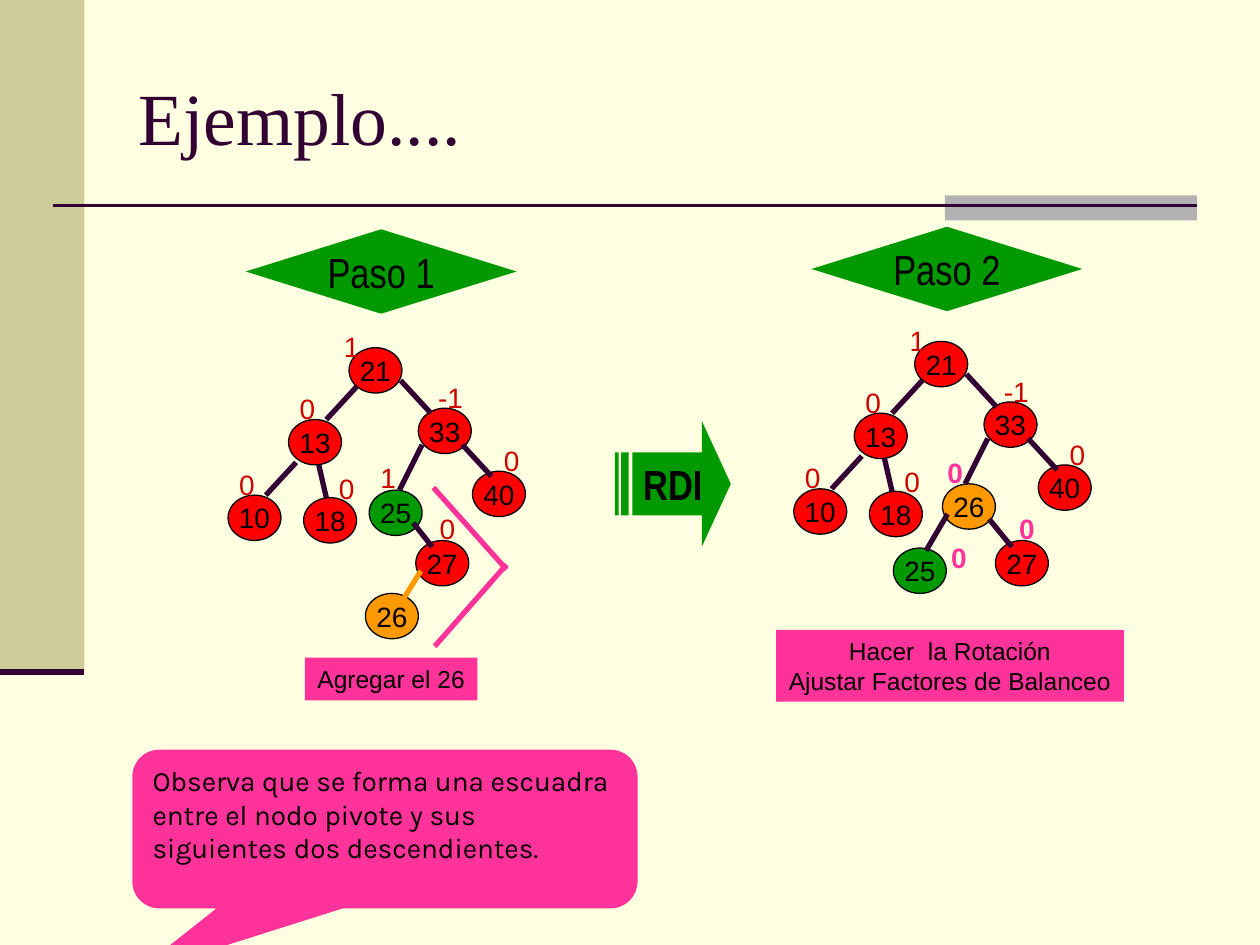
from lxml import etree
from pptx import Presentation
from pptx.dml.color import RGBColor
from pptx.enum.shapes import MSO_CONNECTOR, MSO_SHAPE
from pptx.enum.text import MSO_ANCHOR, MSO_AUTO_SIZE, PP_ALIGN
from pptx.oxml.ns import qn
from pptx.util import Inches, Pt

RECTANGLE, ELLIPSE = MSO_SHAPE.RECTANGLE, MSO_SHAPE.OVAL
DIAMOND = MSO_SHAPE.FLOWCHART_DECISION
CALLOUT = MSO_SHAPE.ROUNDED_RECTANGULAR_CALLOUT
STRAIGHT = MSO_CONNECTOR.STRAIGHT
LEFT, CENTER = PP_ALIGN.LEFT, PP_ALIGN.CENTER
TOP, MIDDLE = MSO_ANCHOR.TOP, MSO_ANCHOR.MIDDLE
FIXED_SIZE = MSO_AUTO_SIZE.NONE

COLORS = {
    "background": "FFFFE1", "band": "CCCC99", "gray": "B2B2B2",
    "dark": "330033", "black": "000000", "red": "FF0000",
    "green": "009900", "orange": "FF9900", "pink": "FF3399",
    "factor": "CC0000",
}


def color(name):
    return RGBColor.from_string(COLORS[name])


class SlideBuilder:
    font, narrow_font = "Arial", "Arial Narrow"
    title_font, note_font = "Times New Roman", "Karla"
    node_width, node_height = 0.42, 0.36

    def __init__(self, slide):
        self.slide = slide
        slide.background.fill.solid()
        slide.background.fill.fore_color.rgb = color("background")

    def set_text(self, shape, text, size, font=None, text_color="black", bold=False,
                 align=CENTER, anchor=MIDDLE, wrap=False):
        frame = shape.text_frame
        frame.text = text
        frame.word_wrap = wrap
        frame.auto_size = FIXED_SIZE
        frame.vertical_anchor = anchor
        for paragraph in frame.paragraphs:
            paragraph.alignment = align
            for run in paragraph.runs:
                run.font.name = font or self.font
                run.font.size = Pt(size)
                run.font.bold = bold
                run.font.color.rgb = color(text_color)

    def paint(self, shape, fill, outline=None):
        shape.shadow.inherit = False
        shape.fill.solid()
        shape.fill.fore_color.rgb = color(fill)
        if outline:
            shape.line.color.rgb = color(outline)
            shape.line.width = Pt(0.75)
        else:
            shape.line.fill.background()

    def title(self, text, left, top, width, height):
        title = self.slide.shapes.title
        title.left, title.top = Inches(left), Inches(top)
        title.width, title.height = Inches(width), Inches(height)
        self.set_text(title, text, 42, self.title_font, "dark", align=LEFT, wrap=True)

    def shape(self, kind, left, top, width, height, fill, outline=None):
        shape = self.slide.shapes.add_shape(
            kind, Inches(left), Inches(top), Inches(width), Inches(height))
        self.paint(shape, fill, outline)
        return shape

    def line(self, x1, y1, x2, y2, line_color="dark", width=3):
        line = self.slide.shapes.add_connector(
            STRAIGHT, Inches(x1), Inches(y1), Inches(x2), Inches(y2))
        line.line.color.rgb = color(line_color)
        line.line.width = Pt(width)
        etree.SubElement(line._element.spPr, qn("a:effectLst"))

    def outline(self, contours, fill):
        points = [[(Inches(x), Inches(y)) for x, y in contour] for contour in contours]
        builder = self.slide.shapes.build_freeform(*points[0][0])
        builder.add_line_segments(points[0][1:])
        for contour in points[1:]:
            builder.move_to(*contour[0])
            builder.add_line_segments(contour[1:])
        shape = builder.convert_to_shape()
        self.paint(shape, fill)
        return shape

    def node(self, key, left, top, fill="red"):
        node = self.shape(ELLIPSE, left, top, self.node_width, self.node_height,
                          fill, "black")
        self.set_text(node, key, 16)

    def factor(self, value, left, top, text_color="factor", bold=False):
        width = 0.2 + 0.12 * len(value)
        box = self.slide.shapes.add_textbox(
            Inches(left), Inches(top), Inches(width), Inches(0.37))
        self.set_text(box, value, 16, None, text_color, bold, LEFT, TOP)

    def tree(self, dx, dy, nodes, edges, factors):
        """Draw the part of the tree shared by both steps, then what differs."""
        for key, x, y in SHARED_NODES:
            self.node(key, x + dx, y + dy)
        for node in nodes:
            self.node(*node)
        for x1, y1, x2, y2 in SHARED_EDGES:
            self.line(x1 + dx, y1 + dy, x2 + dx, y2 + dy)
        for edge in edges:
            self.line(*edge)
        for value, x, y in SHARED_FACTORS:
            self.factor(value, x + dx, y + dy)
        for factor in factors:
            self.factor(*factor)

    def step(self, text, left, top):
        self.set_text(self.shape(DIAMOND, left, top, 2.15, 0.67, "green"),
                      text, 24, self.narrow_font)

    def caption(self, text, left, top, width, height):
        self.set_text(self.shape(RECTANGLE, left, top, width, height, "pink"), text, 14)


SHARED_NODES = [("21", 2.77, 2.76), ("13", 2.29, 3.33), ("33", 3.32, 3.24),
                ("10", 1.81, 3.93), ("18", 2.41, 3.95), ("40", 3.75, 3.74)]
SHARED_EDGES = [(2.83, 3.07, 2.59, 3.33), (2.35, 3.67, 2.11, 3.93),
                (3.18, 3.02, 3.42, 3.28), (3.67, 3.53, 3.9, 3.78),
                (2.53, 3.69, 2.59, 3.95), (3.35, 3.53, 3.17, 3.89)]
SHARED_FACTORS = [("1", 2.63, 2.57), ("0", 1.8, 3.66), ("0", 2.59, 3.69),
                  ("0", 2.28, 3.06), ("0", 3.9, 3.47), ("-1", 3.38, 2.97)]


def main():
    presentation = Presentation()
    presentation.slide_width, presentation.slide_height = Inches(10), Inches(7.5)
    builder = SlideBuilder(presentation.slides.add_slide(presentation.slide_layouts[5]))

    # Frame and title
    builder.shape(RECTANGLE, 0, 0, 0.67, 5.33, "band")
    builder.shape(RECTANGLE, 7.5, 1.55, 2, 0.2, "gray")
    builder.line(0.42, 1.63, 9.5, 1.63, width=1.5)
    builder.line(0, 5.33, 0.67, 5.33, width=3.5)
    builder.title("Ejemplo....", 1, 0.3, 8.5, 1.25)

    # Step 1: insertion
    builder.step("Paso 1", 1.95, 1.82)
    builder.tree(
        0, 0,
        nodes=[("25", 2.93, 3.89, "green"), ("27", 3.3, 4.29),
               ("26", 2.9, 4.71, "orange")],
        edges=[(3.28, 4.15, 3.43, 4.34), (3.34, 4.53, 3.18, 4.79, "orange")],
        factors=[("0", 3.39, 4.01), ("1", 2.92, 3.61)])
    builder.line(3.44, 3.87, 4.02, 4.52, "pink")
    builder.line(3.45, 5.13, 4.02, 4.48, "pink")
    builder.caption("Agregar el 26", 2.42, 5.22, 1.37, 0.34)

    # Striped arrow between the steps
    top, bottom = 3.59, 4.09
    stripes = [[(left, top), (right, top), (right, bottom), (left, bottom), (left, top)]
               for left, right in ((4.88, 4.91), (4.93, 4.99))]
    arrow = [(5.02, top), (5.57, top), (5.57, 3.34), (5.8, 3.84),
             (5.57, 4.34), (5.57, bottom), (5.02, bottom), (5.02, top)]
    builder.set_text(builder.outline([arrow] + stripes, "green"), "RDI", 24,
                     builder.narrow_font, bold=True)

    # Step 2: rotation
    builder.step("Paso 2", 6.44, 1.8)
    builder.tree(
        4.49, -0.05,
        nodes=[("25", 7.09, 4.35, "green"), ("27", 7.9, 4.29),
               ("26", 7.48, 3.84, "orange")],
        edges=[(7.85, 4.12, 8.03, 4.34), (7.52, 4.08, 7.35, 4.37)],
        factors=[("0", x, y, "pink", True)
                 for x, y in ((7.99, 4.01), (7.42, 3.57), (7.45, 4.24))])
    builder.caption("Hacer  la Rotación\nAjustar Factores de Balanceo",
                    6.16, 5, 2.76, 0.57)

    # Remark
    remark = builder.shape(CALLOUT, 1.05, 5.95, 4.01, 1.26, "pink")
    for index, value in enumerate((-0.5, 0.92, 0.17)):
        remark.adjustments[index] = value
    builder.set_text(remark, "Observa que se forma una escuadra entre el nodo pivote "
                     "y sus siguientes dos descendientes.", 16, builder.note_font,
                     align=LEFT, anchor=TOP, wrap=True)

    presentation.save("out.pptx")


if __name__ == "__main__":
    main()
